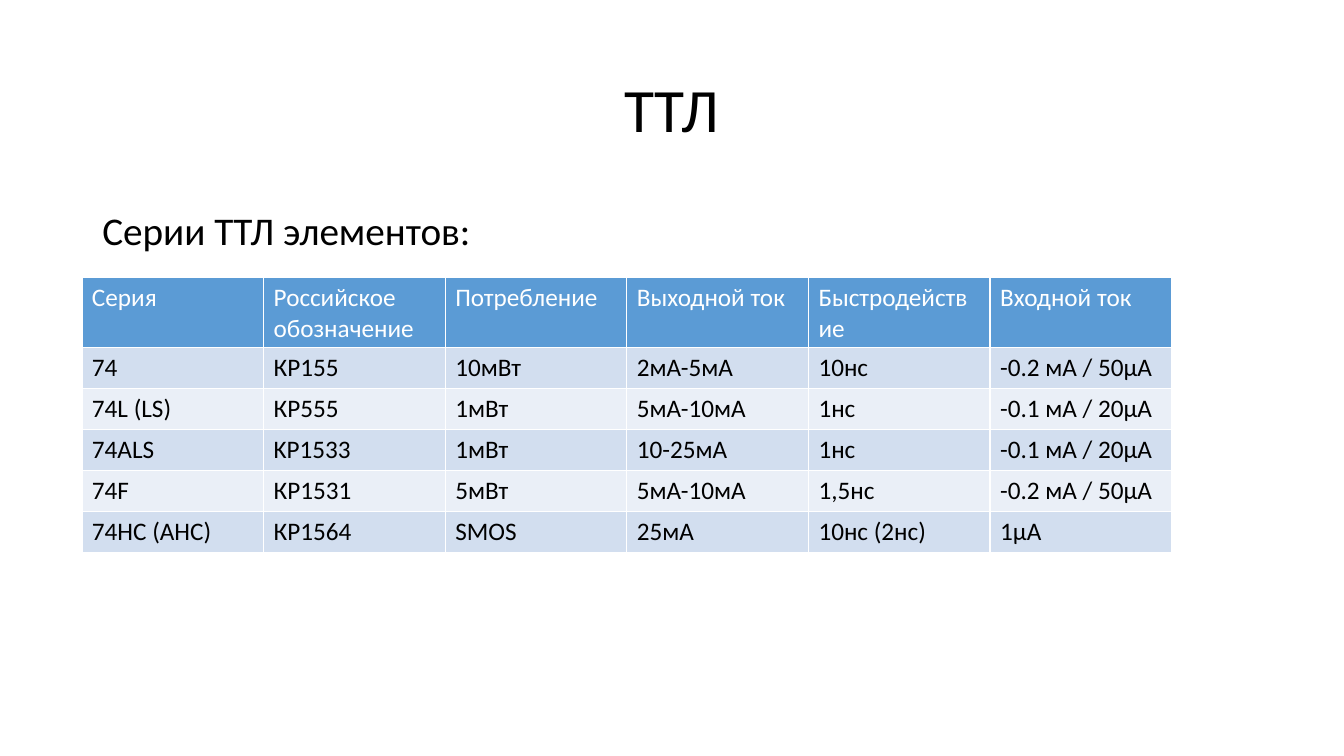
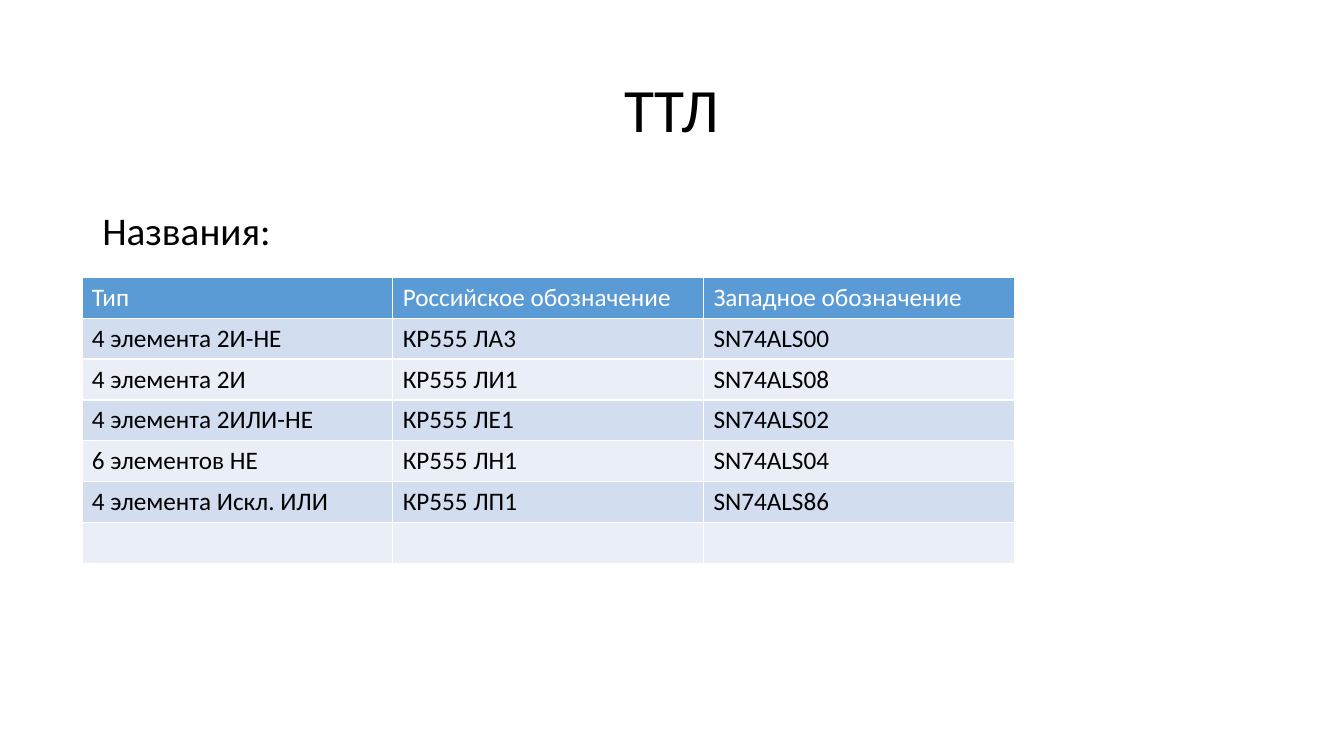
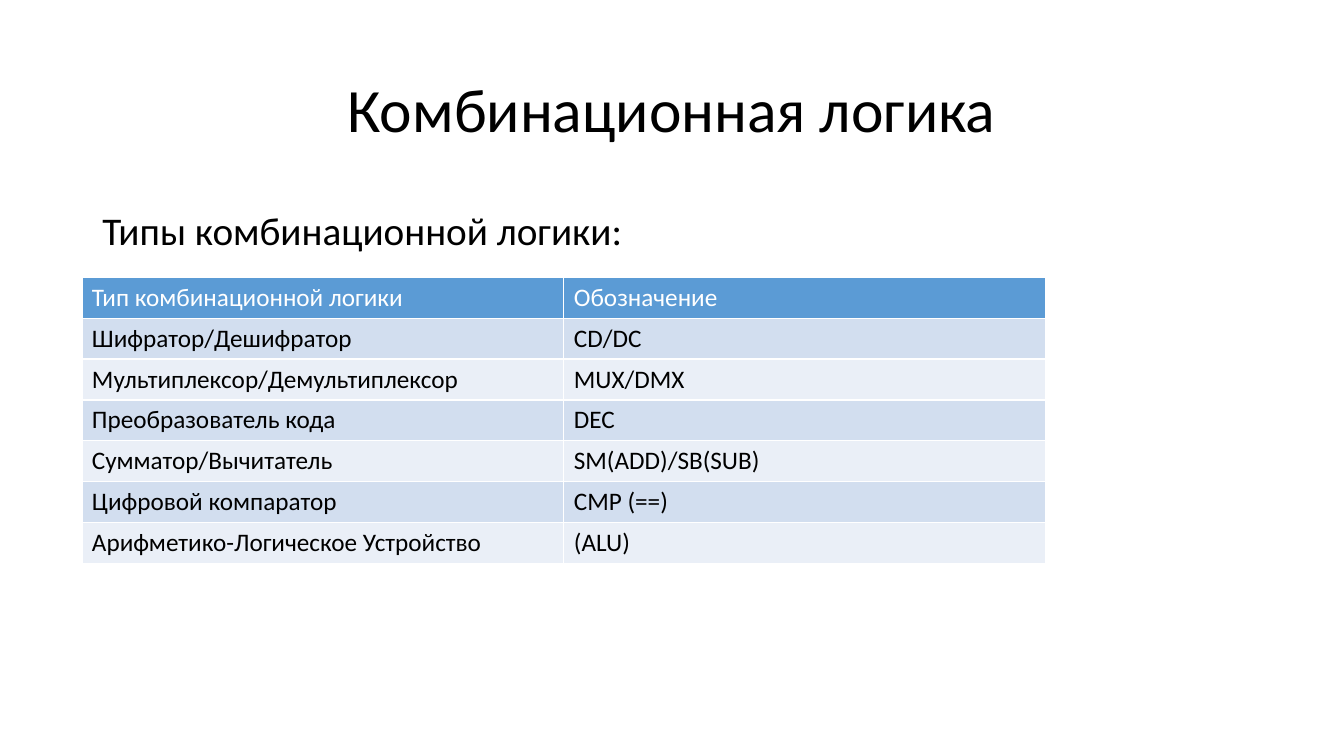
from lxml import etree
from pptx import Presentation
from pptx import util as u
from pptx.dml import color
from pptx.enum import text
from pptx.oxml import ns

PX = 9525
FONT = "Calibri"
BLACK, WHITE = "000000", "FFFFFF"
HEADER, BANDS = "5B9BD5", ("D2DEEF", "EAEFF7")
ROW_HEIGHT = 39

SERIES = [
    ("Серия", "Российское обозначение", "Потребление", "Выходной ток", "Быстродействие", "Входной ток"),
    ("74", "КР155", "10мВт", "2мА-5мА", "10нс", "-0.2 мА / 50µА"),
    ("74L (LS)", "КР555", "1мВт", "5мА-10мА", "1нс", "-0.1 мА / 20µА"),
    ("74ALS", "KP1533", "1мВт", "10-25мА", "1нс", "-0.1 мА / 20µА"),
    ("74F", "КР1531", "5мВт", "5мА-10мА", "1,5нс", "-0.2 мА / 50µА"),
    ("74HC (AHC)", "КР1564", "SMOS", "25мА", "10нс (2нс)", "1µA"),
]
NAMES = [
    ("Тип", "Российское обозначение", "Западное обозначение"),
    ("4 элемента 2И-НЕ", "КР555 ЛА3", "SN74ALS00"),
    ("4 элемента 2И", "КР555 ЛИ1", "SN74ALS08"),
    ("4 элемента 2ИЛИ-НЕ", "КР555 ЛЕ1", "SN74ALS02"),
    ("6 элементов НЕ", "КР555 ЛН1", "SN74ALS04"),
    ("4 элемента Искл. ИЛИ", "КР555 ЛП1", "SN74ALS86"),
    ("", "", ""),
]
LOGIC_TYPES = [
    ("Тип комбинационной логики", "Обозначение"),
    ("Шифратор/Дешифратор", "CD/DC"),
    ("Мультиплексор/Демультиплексор", "MUX/DMX"),
    ("Преобразователь кода", "DEC"),
    ("Сумматор/Вычитатель", "SM(ADD)/SB(SUB)"),
    ("Цифровой компаратор", "CMP (==)"),
    ("Арифметико-Логическое Устройство", "(ALU)"),
]


def rgb(value):
    return color.RGBColor.from_string(value)


class Deck:
    """Holds the shared style and the slide being built."""

    def __init__(self):
        self.presentation = Presentation()
        self.presentation.slide_width = 1280 * PX
        self.presentation.slide_height = 720 * PX
        self.slide = None

    def set_text(self, frame, content, size, ink=BLACK):
        frame.text = content
        frame.word_wrap = True
        for run in frame.paragraphs[0].runs:
            run.font.name = FONT
            run.font.size = u.Pt(size)
            run.font.bold = False
            run.font.color.rgb = rgb(ink)

    def add_slide(self, title):
        self.slide = self.presentation.slides.add_slide(self.presentation.slide_layouts[5])
        shape = self.slide.shapes.title
        shape.left, shape.top, shape.width, shape.height = (n * PX for n in (88, 38, 1104, 139))
        self.set_text(shape.text_frame, title, 44)
        shape.text_frame.vertical_anchor = text.MSO_ANCHOR.MIDDLE
        paragraph = shape.text_frame.paragraphs[0]
        paragraph.alignment = text.PP_ALIGN.CENTER
        paragraph.line_spacing = 0.9

    def add_body(self, content):
        shape = self.slide.shapes.add_textbox(*(n * PX for n in (88, 192, 1104, 457)))
        self.set_text(shape.text_frame, content, 28)

    def add_borders(self, cell):
        properties = cell._tc.get_or_add_tcPr()
        for side in ("a:lnL", "a:lnR", "a:lnT", "a:lnB"):
            line = etree.SubElement(properties, ns.qn(side), w=str(u.Pt(1)))
            fill = etree.SubElement(line, ns.qn("a:solidFill"))
            etree.SubElement(fill, ns.qn("a:srgbClr"), val=WHITE)

    def add_table(self, rows, column_width):
        columns = len(rows[0])
        table = self.slide.shapes.add_table(
            len(rows), columns, 78 * PX, 264 * PX,
            columns * column_width * PX, len(rows) * ROW_HEIGHT * PX).table
        for column in table.columns:
            column.width = column_width * PX
        for index, values in enumerate(rows):
            table.rows[index].height = ROW_HEIGHT * PX
            ink = BLACK if index else WHITE
            background = BANDS[(index - 1) % 2] if index else HEADER
            for cell, value in zip(table.rows[index].cells, values):
                self.set_text(cell.text_frame, value, 18, ink)
                self.add_borders(cell)
                cell.fill.solid()
                cell.fill.fore_color.rgb = rgb(background)


def main():
    deck = Deck()
    for title, body, rows, column_width in (
        ("ТТЛ", "Серии ТТЛ элементов:", SERIES, 173),
        ("ТТЛ", "Названия:", NAMES, 296),
        ("Комбинационная логика", "Типы комбинационной логики:", LOGIC_TYPES, 459),
    ):
        deck.add_slide(title)
        deck.add_body(body)
        deck.add_table(rows, column_width)
    deck.presentation.save("out.pptx")


if __name__ == "__main__":
    main()
